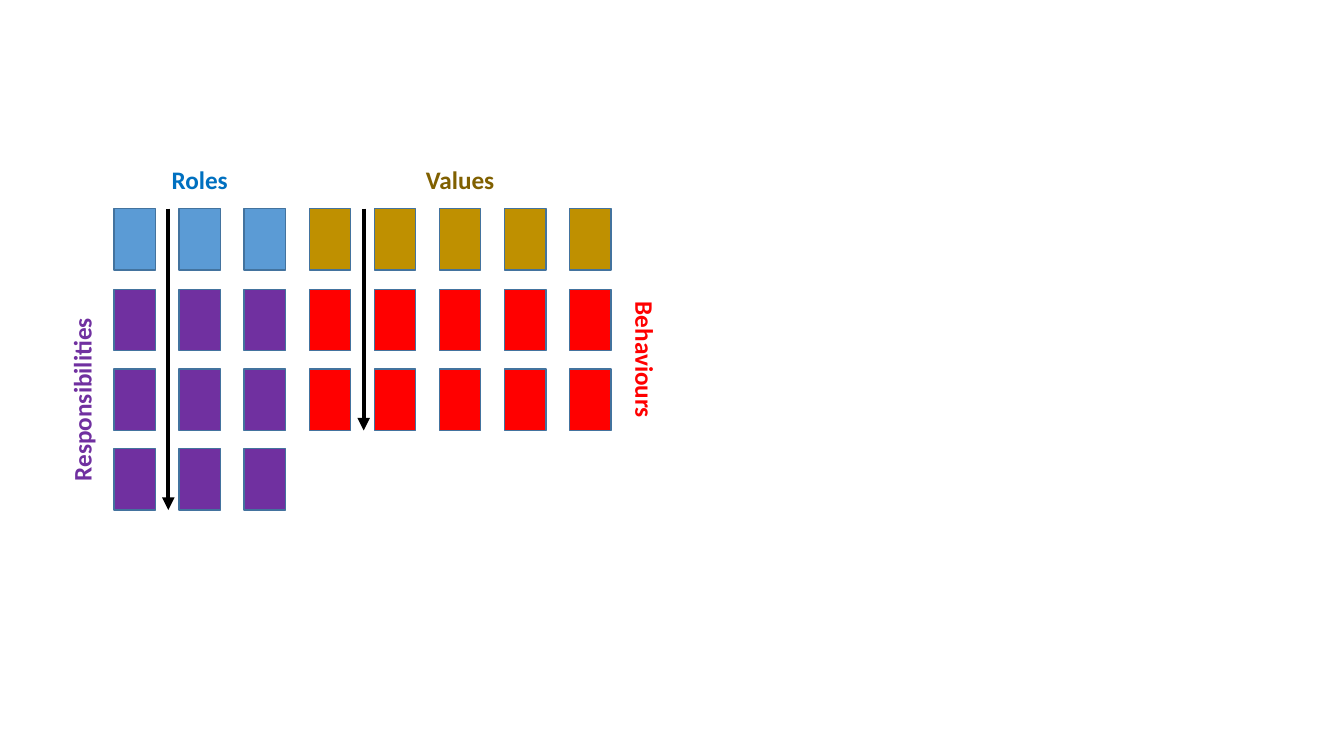
import pptx
import pptx.dml.color
import pptx.enum.shapes
import pptx.enum.text
import pptx.oxml
import pptx.oxml.ns
import pptx.util

THEME = {
    "font": "Calibri", "label_size": 18, "outline": "43739E", "arrow": "000000",
    "outline_width": 1, "arrow_width": 3,
}
SLIDE_W, SLIDE_H = 13.33, 7.5
CARD_W, CARD_H = 0.41, 0.61
LEFT, COL_PITCH = 1.13, (5.65 - 1.13) / 7
HEAD_TOP, BODY_TOP, ROW_PITCH = 2.07, 2.87, 0.79
TITLE_Y, ARROW_OFFSET, LABEL_H = 1.78, 0.54, 0.4

GROUPS = [
    {"first": 0, "cols": 3, "rows": 3, "head": "5B9BD5", "body": "7030A0",
     "title": ("Roles", "0070C0", 0.76),
     "side": ("Responsibilities", "7030A0", 1.83), "side_x": 0.81, "turn": 270},
    {"first": 3, "cols": 5, "rows": 2, "head": "BF9000", "body": "FF0000",
     "title": ("Values", "806000", 0.88),
     "side": ("Behaviours", "FF0000", 1.36), "side_x": 6.4, "turn": 90},
]


def inches(*values):
    return [pptx.util.Inches(v) for v in values]


def rgb(value):
    return pptx.dml.color.RGBColor.from_string(value)


def set_all(obj, values):
    for name, value in values.items():
        setattr(obj, name, value)


def col_x(col):
    return LEFT + col * COL_PITCH


def row_y(row):
    return BODY_TOP + (row - 1) * ROW_PITCH if row else HEAD_TOP


def set_line(line, color, width):
    line.color.rgb = rgb(color)
    line.width = pptx.util.Pt(width)


def add_card(s, col, row, color):
    sp = s.shapes.add_shape(pptx.enum.shapes.MSO_SHAPE.RECTANGLE,
                            *inches(col_x(col), row_y(row), CARD_W, CARD_H))
    sp.shadow.inherit = False
    sp.fill.solid()
    sp.fill.fore_color.rgb = rgb(color)
    set_line(sp.line, THEME["outline"], THEME["outline_width"])


def add_label(s, text, color, width, x, y, turn=0):
    sp = s.shapes.add_textbox(*inches(x - width / 2, y - LABEL_H / 2, width, LABEL_H))
    sp.rotation = turn
    tf = sp.text_frame
    set_all(tf, {"word_wrap": False,
                 "auto_size": pptx.enum.text.MSO_AUTO_SIZE.SHAPE_TO_FIT_TEXT})
    p = tf.paragraphs[0]
    p.alignment = pptx.enum.text.PP_ALIGN.CENTER
    r = p.add_run()
    r.text = text
    set_all(r.font, {"name": THEME["font"], "bold": True,
                     "size": pptx.util.Pt(THEME["label_size"])})
    r.font.color.rgb = rgb(color)


def add_arrow(s, x, top, bottom):
    sp = s.shapes.add_connector(pptx.enum.shapes.MSO_CONNECTOR.STRAIGHT,
                                *inches(x, top, x, bottom))
    set_line(sp.line, THEME["arrow"], THEME["arrow_width"])
    ln = sp.line._get_or_add_ln()
    tail = pptx.oxml.parse_xml(
        f'<a:tailEnd {pptx.oxml.ns.nsdecls("a")} type="triangle"/>')
    ln.append(tail)
    effects = pptx.oxml.parse_xml(f'<a:effectLst {pptx.oxml.ns.nsdecls("a")}/>')
    sp._element.spPr.append(effects)


def add_group(s, group):
    first, cols, rows = group["first"], group["cols"], group["rows"]
    for row in range(rows + 1):
        for col in range(first, first + cols):
            add_card(s, col, row, group["body"] if row else group["head"])
    bottom = row_y(rows) + CARD_H
    center_x = (col_x(first) + col_x(first + cols - 1) + CARD_W) / 2
    add_label(s, *group["title"], center_x, TITLE_Y)
    add_label(s, *group["side"], group["side_x"], (BODY_TOP + bottom) / 2, group["turn"])
    add_arrow(s, col_x(first) + ARROW_OFFSET, HEAD_TOP, bottom)


def main():
    prs = pptx.Presentation()
    prs.slide_width, prs.slide_height = inches(SLIDE_W, SLIDE_H)
    s = prs.slides.add_slide(prs.slide_layouts[6])
    for group in GROUPS:
        add_group(s, group)
    prs.save("out.pptx")


if __name__ == "__main__":
    main()
